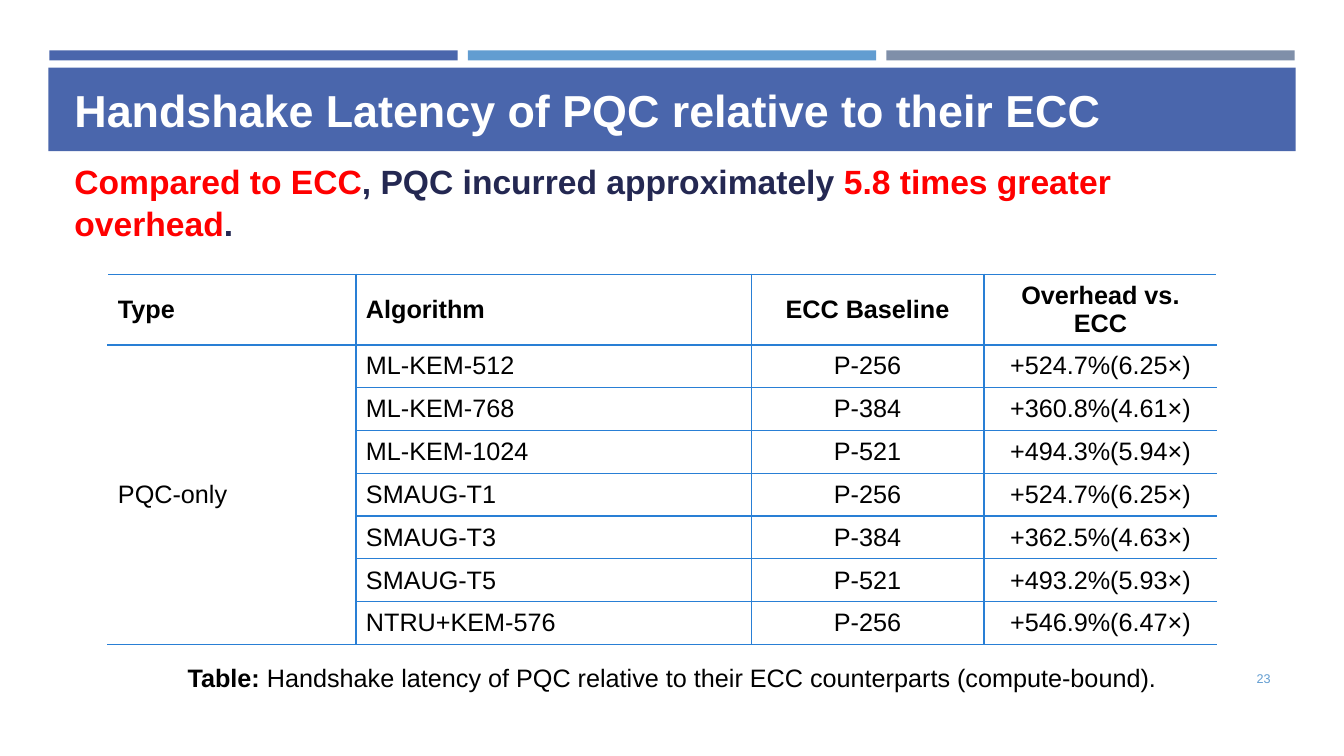
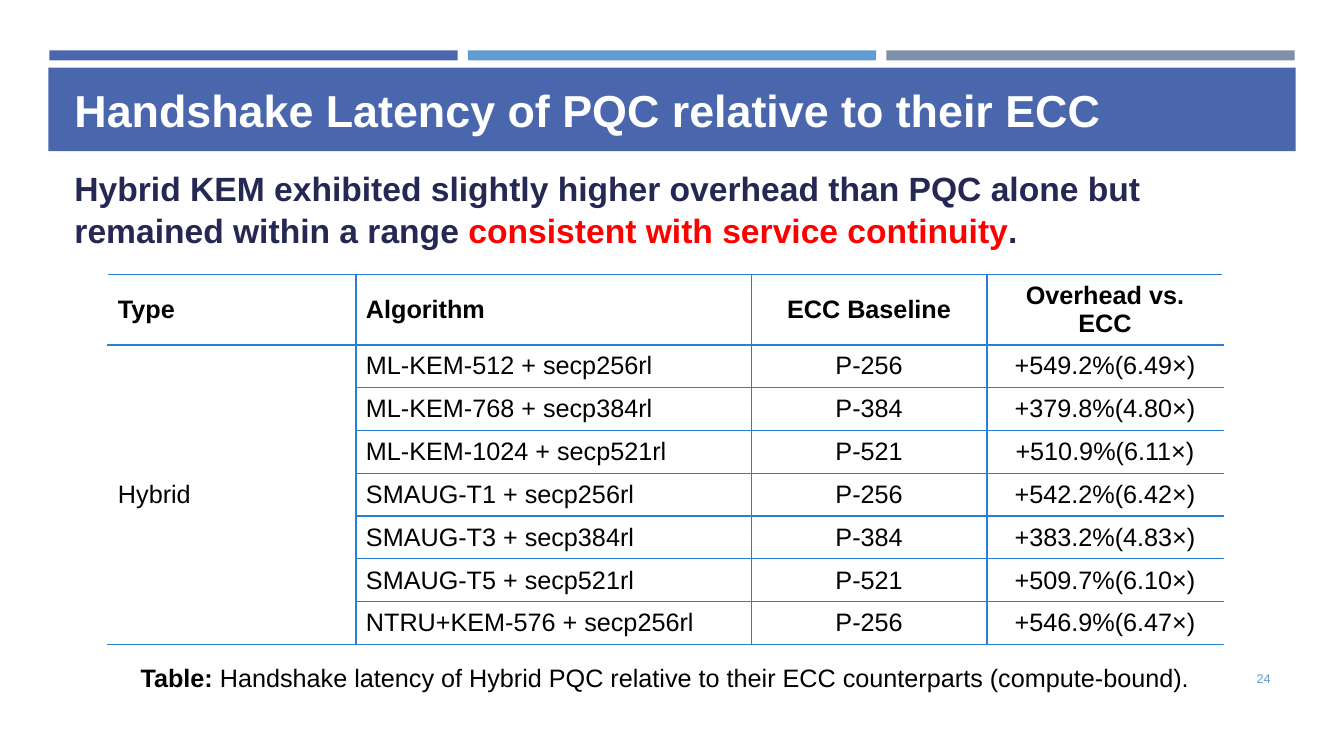
import pptx
import pptx.util
import pptx.dml.color
import pptx.enum.shapes
import pptx.enum.text
import lxml.etree

Inches = pptx.util.Inches
Pt = pptx.util.Pt
RGBColor = pptx.dml.color.RGBColor
ALIGN = pptx.enum.text.PP_ALIGN
ANCHOR = pptx.enum.text.MSO_ANCHOR

INDIGO = RGBColor(0x4A, 0x66, 0xAC)
SKY = RGBColor(0x62, 0x9D, 0xD1)
SLATE = RGBColor(0x7F, 0x8F, 0xA9)
NAVY = RGBColor(0x24, 0x28, 0x52)
RULE = RGBColor(0x29, 0x7F, 0xD5)
RED = RGBColor(0xFF, 0x00, 0x00)
BLACK = RGBColor(0x00, 0x00, 0x00)
WHITE = RGBColor(0xFF, 0xFF, 0xFF)

FONT = "Arial"
TITLE = "Handshake Latency of PQC relative to their ECC"
HEADER = ["Type", "Algorithm", "ECC Baseline", "Overhead vs. ECC"]
NS = "http://schemas.openxmlformats.org/drawingml/2006/main"


def write(tf, runs, size=18, color=BLACK, bold=False, align=ALIGN.LEFT,
          anchor=ANCHOR.TOP, line_spacing=None):
    tf.word_wrap = True
    tf.vertical_anchor = anchor
    p = tf.paragraphs[0]
    p.alignment = align
    p.line_spacing = line_spacing
    for text, changes in [(runs, {})] if isinstance(runs, str) else runs:
        r = p.add_run()
        r.text = text
        r.font.name = FONT
        r.font.size = Pt(size)
        r.font.bold = changes.get("bold", bold)
        r.font.color.rgb = changes.get("color", color)


def add_border(cell, side, width):
    ln = lxml.etree.SubElement(cell._tc.get_or_add_tcPr(), f"{{{NS}}}ln{side}",
                               w=str(Pt(width)))
    fill = lxml.etree.SubElement(ln, f"{{{NS}}}solidFill")
    lxml.etree.SubElement(fill, f"{{{NS}}}srgbClr", val=str(RULE))


class Deck:
    def __init__(self):
        self.prs = pptx.Presentation()
        self.prs.slide_width = Inches(13.33)
        self.prs.slide_height = Inches(7.5)
        self.slide = None

    def new_slide(self, title, number):
        self.slide = self.prs.slides.add_slide(self.prs.slide_layouts[6])
        for i, color in enumerate([INDIGO, SKY, SLATE]):
            self.band(0.49 + i * 4.15, 0.5, 4.05, 0.1, color)
        self.band(0.48, 0.67, 12.37, 0.83, INDIGO)
        self.text(0.64, 0.77, 12.06, 0.64, title, size=32, color=WHITE, bold=True)
        self.text(11.55, 6.53, 1.15, 0.4, str(number), size=9, color=SKY,
                  align=ALIGN.RIGHT, anchor=ANCHOR.MIDDLE)

    def band(self, left, top, width, height, color):
        sp = self.slide.shapes.add_shape(
            pptx.enum.shapes.MSO_SHAPE.RECTANGLE,
            Inches(left), Inches(top), Inches(width), Inches(height))
        sp.shadow.inherit = False
        sp.fill.solid()
        sp.fill.fore_color.rgb = color
        sp.line.fill.background()

    def text(self, left, top, width, height, runs, **style):
        sp = self.slide.shapes.add_textbox(
            Inches(left), Inches(top), Inches(width), Inches(height))
        write(sp.text_frame, runs, **style)

    def message(self, top, runs):
        self.text(0.64, top, 12.06, 0.91, runs, size=24, color=NAVY, bold=True,
                  anchor=ANCHOR.MIDDLE, line_spacing=1.05)

    def caption(self, left, width, text):
        self.text(left, 6.52, width, 0.4, [("Table: ", {"bold": True}), (text, {})],
                  align=ALIGN.CENTER)

    def table(self, kind, results, value_width):
        rows = [HEADER] + [[kind if i == 0 else "", *row]
                           for i, row in enumerate(results)]
        widths = [2.46, 3.92, value_width, value_width]
        heights = [0.7] + [0.425] * len(results)
        table = self.slide.shapes.add_table(
            len(rows), len(widths), Inches(1.07), Inches(2.72),
            Inches(sum(widths)), Inches(sum(heights))).table
        table.first_row = table.horz_banding = False
        for column, width in zip(table.columns, widths):
            column.width = Inches(width)
        for row, height in zip(table.rows, heights):
            row.height = Inches(height)
        table.cell(1, 0).merge(table.cell(len(results), 0))
        for i, row in enumerate(rows):
            for j, value in enumerate(row):
                cell = table.cell(i, j)
                if cell.is_spanned:
                    continue
                if j > 0:
                    add_border(cell, "L", 1)
                if j < len(row) - 1:
                    add_border(cell, "R", 1)
                add_border(cell, "T", 2 if i == 1 else 1)
                add_border(cell, "B", 2 if i == 0 else 1)
                cell.fill.background()
                cell.vertical_anchor = ANCHOR.MIDDLE
                write(cell.text_frame, value, bold=i == 0, anchor=None,
                      align=ALIGN.CENTER if j > 1 else ALIGN.LEFT)


def main():
    deck = Deck()

    deck.new_slide(TITLE, 23)
    deck.table("PQC-only", [
        ("ML-KEM-512", "P-256", "+524.7%(6.25×)"),
        ("ML-KEM-768", "P-384", "+360.8%(4.61×)"),
        ("ML-KEM-1024", "P-521", "+494.3%(5.94×)"),
        ("SMAUG-T1", "P-256", "+524.7%(6.25×)"),
        ("SMAUG-T3", "P-384", "+362.5%(4.63×)"),
        ("SMAUG-T5", "P-521", "+493.2%(5.93×)"),
        ("NTRU+KEM-576", "P-256", "+546.9%(6.47×)"),
    ], 2.31)
    deck.message(1.54, [
        ("Compared to ECC", {"color": RED}),
        (", PQC incurred approximately ", {}),
        ("5.8 times greater overhead", {"color": RED}),
        (".", {}),
    ])
    deck.caption(1.54, 10.25, "Handshake latency of PQC relative to their "
                 "ECC counterparts (compute-bound).")

    deck.new_slide(TITLE, 24)
    deck.table("Hybrid", [
        ("ML-KEM-512 + secp256rl", "P-256", "+549.2%(6.49×)"),
        ("ML-KEM-768 + secp384rl", "P-384", "+379.8%(4.80×)"),
        ("ML-KEM-1024 + secp521rl", "P-521", "+510.9%(6.11×)"),
        ("SMAUG-T1 + secp256rl", "P-256", "+542.2%(6.42×)"),
        ("SMAUG-T3 + secp384rl", "P-384", "+383.2%(4.83×)"),
        ("SMAUG-T5 + secp521rl", "P-521", "+509.7%(6.10×)"),
        ("NTRU+KEM-576 + secp256rl", "P-256", "+546.9%(6.47×)"),
    ], 2.34)
    deck.message(1.61, [
        ("Hybrid KEM exhibited slightly higher overhead than PQC alone but "
         "remained within a range ", {}),
        ("consistent with service continuity", {"color": RED}),
        (".", {}),
    ])
    deck.caption(1.07, 11.05, "Handshake latency of Hybrid PQC relative to their "
                 "ECC counterparts (compute-bound).")

    deck.prs.save("out.pptx")


if __name__ == "__main__":
    main()
